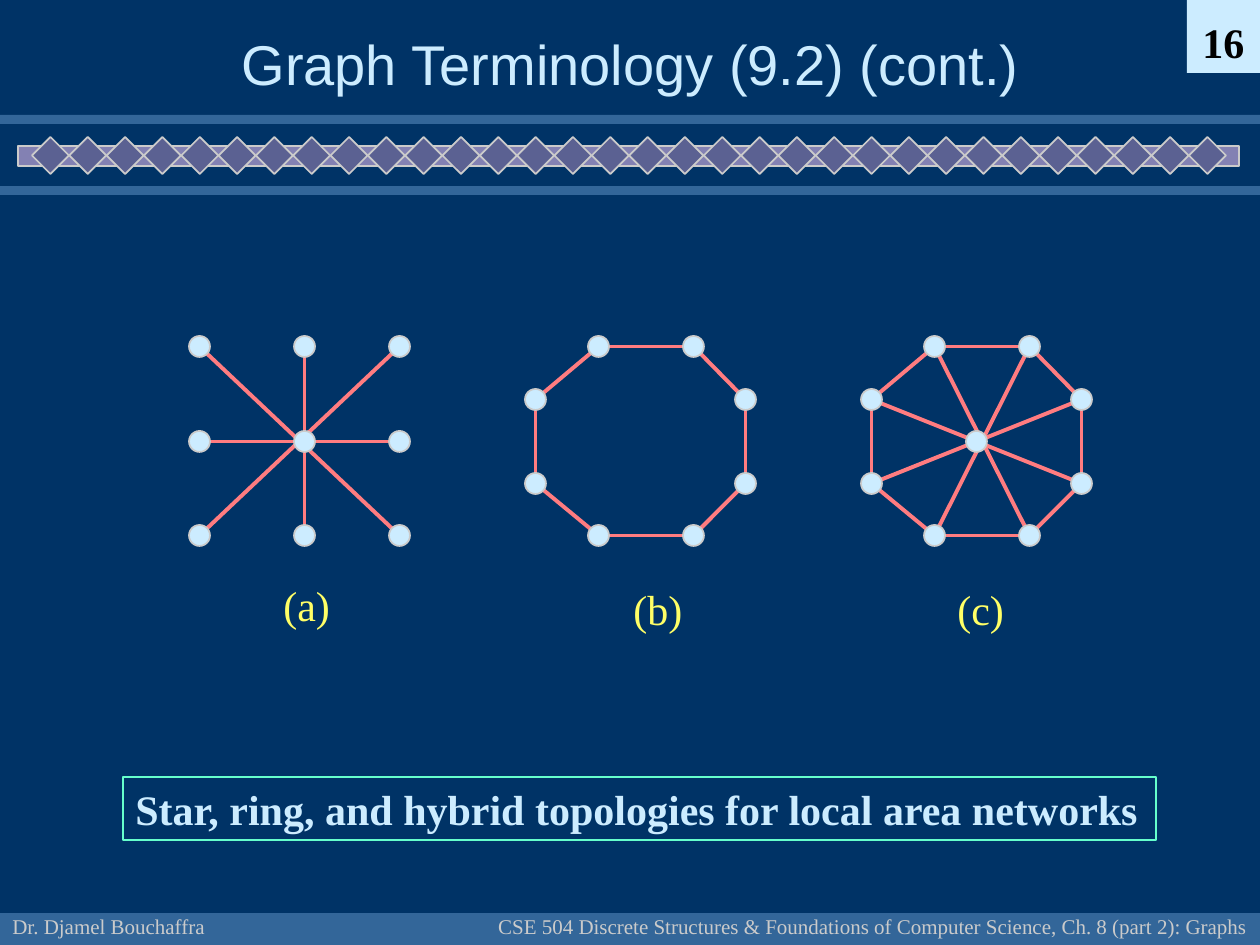
from lxml.etree import SubElement
from pptx import Presentation
from pptx.dml.color import RGBColor
from pptx.enum.shapes import MSO_CONNECTOR as Connector, MSO_SHAPE as Shape
from pptx.enum.text import MSO_ANCHOR as Anchor, PP_ALIGN as Align
from pptx.oxml.ns import qn
from pptx.util import Pt

PX = 914400 / 126
SERIF, SANS = "Times New Roman", "Arial"
NAVY, STEEL, PALE, GREY = "003366", "336699", "CCECFF", "CBCBCB"
LILAC, INDIGO, CORAL = "8381B3", "5B6192", "FF7C80"
YELLOW, MINT, BLACK = "FFFF66", "66FFCC", "000000"
NODE = 21


def px(*lengths):
    return [round(length * PX) for length in lengths]


def color(hex_string):
    return RGBColor.from_string(hex_string)


def add_block(shapes, kind, box, fill=None, line=None):
    shape = shapes.add_shape(kind, *px(*box))
    shape.shadow.inherit = False
    if fill:
        shape.fill.solid()
        shape.fill.fore_color.rgb = color(fill)
    else:
        shape.fill.background()
    if line:
        shape.line.color.rgb = color(line)
        shape.line.width = Pt(1)
    else:
        shape.line.fill.background()
    return shape


def add_edge(shapes, start, end):
    edge = shapes.add_connector(Connector.STRAIGHT, *px(*start, *end))
    edge.line.color.rgb = color(CORAL)
    edge.line.width = Pt(2.25)
    SubElement(edge._element.spPr, qn("a:effectLst"))


def write(shape, text, size, hex_string, font=SERIF, bold=False,
          align=Align.LEFT, anchor=Anchor.TOP, wrap=False):
    frame = shape.text_frame
    frame.text = text
    frame.word_wrap = wrap
    frame.vertical_anchor = anchor
    paragraph = frame.paragraphs[0]
    paragraph.alignment = align
    run_font = paragraph.runs[0].font
    run_font.name, run_font.size, run_font.bold = font, Pt(size), bold
    run_font.color.rgb = color(hex_string)


def add_text(shapes, box, *args, **options):
    write(shapes.add_textbox(*px(*box)), *args, **options)


def add_header(shapes, box):
    left, top, width, height = box
    # Two bands enclosing the ornament
    for offset in (0, height - 9):
        add_block(shapes, Shape.RECTANGLE, (left, top + offset, width, 9), STEEL)
    # Bar with a chain of evenly spaced diamonds
    chain = shapes.add_group_shape().shapes
    add_block(chain, Shape.RECTANGLE, (left + 18, top + 31, 1221, 20), LILAC, GREY)
    count, first, last = 32, 32, 1189
    pitch = (last - first) / (count - 1)
    for index in range(count):
        add_block(chain, Shape.DIAMOND,
                  (left + first + index * pitch, top + 22, 37, 37), INDIGO, GREY)


def add_footer(shapes, box):
    left, top, width, height = box
    add_block(shapes, Shape.RECTANGLE, box, STEEL)
    text_top, text_height = top + height - 63, 63
    add_text(shapes, (left, text_top, 262, text_height),
             "Dr. Djamel Bouchaffra", 12, GREY, anchor=Anchor.BOTTOM)
    add_text(shapes, (left + width - 777, text_top, 777, text_height),
             "CSE 504 Discrete Structures & Foundations of Computer Science, "
             "Ch. 8 (part 2): Graphs",
             12, GREY, align=Align.RIGHT, anchor=Anchor.BOTTOM)


def add_graph(shapes, box, nodes, edges, label, label_box):
    """Draw edges, label and nodes; all positions are relative to the box."""
    left, top = box
    graph = shapes.add_group_shape().shapes
    centre = NODE / 2
    for edge in edges:
        add_edge(graph, *[(left + x + centre, top + y + centre) for x, y in edge])
    x, y, width, height = label_box
    add_text(graph, (left + x, top + y, width, height), label, 24, YELLOW)
    for x, y in nodes:
        add_block(graph, Shape.OVAL, (left + x, top + y, NODE, NODE), PALE, GREY)


def add_topologies(shapes, box):
    left, top = box
    hub = (105, 95)
    # Star: a 3 by 3 grid whose opposite outer nodes are joined through the hub
    grid = [(x, y) for y in (0, 95, 189) for x in (0, 105, 200)]
    star_lines = [(grid[i], grid[8 - i]) for i in range(4)]
    # Ring: eight nodes in order around the outline
    ring = [(63, 0), (158, 0), (210, 53), (210, 137),
            (158, 189), (63, 189), (0, 137), (0, 53)]
    outline = list(zip(ring, ring[1:] + ring[:1]))
    # Hybrid: the ring plus lines between opposite nodes
    spokes = list(zip(ring[:4], ring[4:]))

    add_graph(shapes, (left, top), grid, star_lines, "(a)", (82, 237, 72, 63))
    add_graph(shapes, (left + 336, top), ring, outline, "(b)", (96, 241, 74, 63))
    add_graph(shapes, (left + 672, top), ring + [hub], spokes + outline,
              "(c)", (84, 241, 72, 63))


def main():
    presentation = Presentation()
    presentation.slide_width, presentation.slide_height = px(1260, 945)
    slide = presentation.slides.add_slide(presentation.slide_layouts[6])
    slide.background.fill.solid()
    slide.background.fill.fore_color.rgb = color(NAVY)
    shapes = slide.shapes

    add_header(shapes, (0, 115, 1260, 80))
    add_footer(shapes, (0, 913, 1260, 32))

    # Page number and title
    page = add_block(shapes, Shape.RECTANGLE, (1187, 0, 73, 73), PALE)
    write(page, "16", 24, BLACK, bold=True, align=Align.CENTER, anchor=Anchor.BOTTOM)
    add_text(shapes, (95, 21, 1071, 84), "Graph Terminology (9.2) (cont.)", 32, PALE,
             font=SANS, align=Align.CENTER, anchor=Anchor.MIDDLE, wrap=True)

    add_topologies(shapes, (189, 336))

    # Caption
    caption = add_block(shapes, Shape.RECTANGLE, (123, 777, 1033, 63), line=MINT)
    write(caption, "Star, ring, and hybrid topologies for local area networks",
          24, PALE, bold=True)

    presentation.save("out.pptx")


if __name__ == "__main__":
    main()
